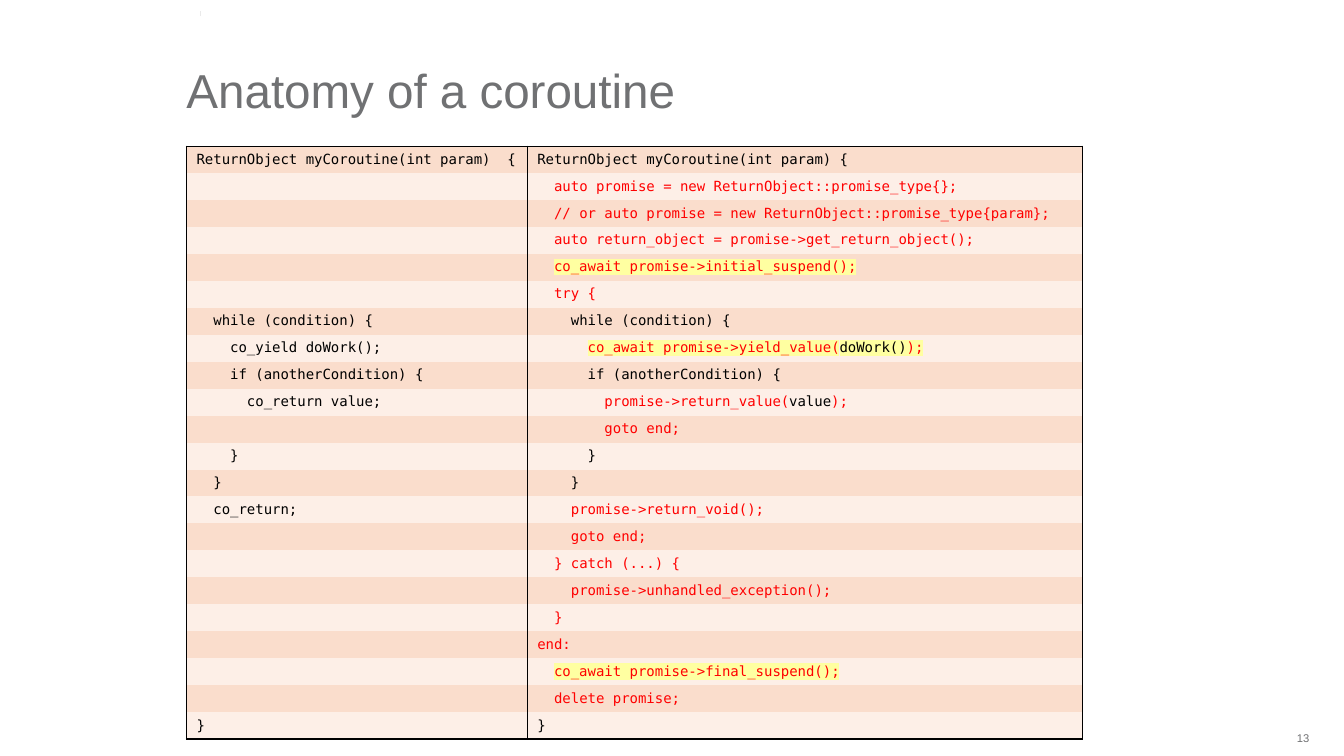
from dataclasses import dataclass

from lxml.etree import SubElement
from pptx import Presentation
from pptx.dml.color import RGBColor as Color
from pptx.enum.shapes import MSO_CONNECTOR as Connector
from pptx.enum.text import MSO_ANCHOR as Anchor, PP_ALIGN as Align
from pptx.oxml.ns import qn
from pptx.util import Inches, Pt

GRID_COLUMNS, GRID_ROWS = 160, 90
SLIDE_WIDTH, SLIDE_HEIGHT = Inches(13.33), Inches(7.5)
PLAIN_TABLE_STYLE = "{2D5ABB26-0587-4C30-8999-92F81FD0307C}"


@dataclass(frozen=True)
class Theme:
    sans: str = "Arial"
    mono: str = "DejaVu Sans Mono"
    title_size: int = 34
    title_leading: int = 38
    code_size: int = 10
    number_size: int = 8
    gray: str = "707173"
    mark: str = "EAEAEA"
    written: str = "000000"
    generated: str = "FF0000"
    highlight: str = "FFFFA1"
    border: str = "000000"
    bands: tuple = ("FADDCC", "FDEFE7")


THEME = Theme()

WRITTEN, GENERATED, SUSPEND, SUSPEND_WRITTEN = range(4)
STYLES = {
    WRITTEN: (THEME.written, None),
    GENERATED: (THEME.generated, None),
    SUSPEND: (THEME.generated, THEME.highlight),
    SUSPEND_WRITTEN: (THEME.written, THEME.highlight),
}

CODE_ROWS = [
    ("ReturnObject myCoroutine(int param)  {", [(WRITTEN, "ReturnObject myCoroutine(int param) {")]),
    ("", [(GENERATED, "  auto promise = new ReturnObject::promise_type{};")]),
    ("", [(GENERATED, "  // or auto promise = new ReturnObject::promise_type{param};")]),
    ("", [(GENERATED, "  auto return_object = promise->get_return_object();")]),
    ("", [(GENERATED, "  "), (SUSPEND, "co_await promise->initial_suspend();")]),
    ("", [(GENERATED, "  try {")]),
    ("  while (condition) {", [(WRITTEN, "    while (condition) {")]),
    ("    co_yield doWork();", [
        (WRITTEN, "      "), (SUSPEND, "co_await promise->yield_value("),
        (SUSPEND_WRITTEN, "doWork()"), (SUSPEND, ");")]),
    ("    if (anotherCondition) {", [(WRITTEN, "      if (anotherCondition) {")]),
    ("      co_return value;", [
        (GENERATED, "        promise->return_value("), (WRITTEN, "value"), (GENERATED, ");")]),
    ("", [(GENERATED, "        goto end;")]),
    ("    }", [(WRITTEN, "      }")]),
    ("  }", [(WRITTEN, "    }")]),
    ("  co_return;", [(GENERATED, "    promise->return_void();")]),
    ("", [(GENERATED, "    goto end;")]),
    ("", [(GENERATED, "  } catch (...) {")]),
    ("", [(GENERATED, "    promise->unhandled_exception();")]),
    ("", [(GENERATED, "  }")]),
    ("", [(GENERATED, "end:")]),
    ("", [(GENERATED, "  "), (SUSPEND, "co_await promise->final_suspend();")]),
    ("", [(GENERATED, "  delete promise;")]),
    ("}", [(WRITTEN, "}")]),
]


def across(columns):
    return round(SLIDE_WIDTH * columns / GRID_COLUMNS)


def down(rows):
    return round(SLIDE_HEIGHT * rows / GRID_ROWS)


def add_label(slide, text, left, top, width, height, size, anchor, align, leading=None):
    box = slide.shapes.add_textbox(across(left), down(top), across(width), down(height))
    frame = box.text_frame
    frame.word_wrap = True
    frame.vertical_anchor = anchor
    frame.margin_left = frame.margin_right = frame.margin_top = frame.margin_bottom = 0
    paragraph = frame.paragraphs[0]
    paragraph.text = text
    paragraph.alignment = align
    if leading:
        paragraph.line_spacing = Pt(leading)
    paragraph.font.name = THEME.sans
    paragraph.font.size = Pt(size)
    paragraph.font.color.rgb = Color.from_string(THEME.gray)


def add_mark(slide, left, top, length):
    line = slide.shapes.add_connector(
        Connector.STRAIGHT, across(left), down(top + length), across(left), down(top))
    line.line.color.rgb = Color.from_string(THEME.mark)
    line.line.width = Pt(1)
    SubElement(line._element.spPr, qn("a:effectLst"))


def add_solid_color(parent, color):
    SubElement(SubElement(parent, qn("a:solidFill")), qn("a:srgbClr"), val=color)


def write_code(paragraph, segments):
    for style, text in segments:
        color, highlight = STYLES[style]
        run = paragraph.add_run()
        run.text = text
        run.font.size = Pt(THEME.code_size)
        run.font.color.rgb = Color.from_string(color)
        if highlight:
            marker = SubElement(run.font._element, qn("a:highlight"))
            SubElement(marker, qn("a:srgbClr"), val=highlight)
        run.font.name = THEME.mono
    if not segments:
        SubElement(paragraph._p, qn("a:endParaRPr"), sz=str(THEME.code_size * 100))


def set_borders(cell, sides):
    properties = cell._tc.get_or_add_tcPr()
    for side in sides:
        line = SubElement(properties, qn(f"a:ln{side}"), w=str(Pt(1)))
        add_solid_color(line, THEME.border)


def add_code_table(slide, left, top, column_widths, row_height):
    count = len(CODE_ROWS)
    table = slide.shapes.add_table(
        count, len(column_widths), across(left), down(top),
        across(sum(column_widths)), down(row_height * count)).table
    table.first_row = table.horz_banding = False
    table._tbl.tblPr.find(qn("a:tableStyleId")).text = PLAIN_TABLE_STYLE
    for column, width in zip(table.columns, column_widths):
        column.width = across(width)
    for index, (source, expansion) in enumerate(CODE_ROWS):
        table.rows[index].height = down(row_height)
        sides = "LR" + ("T" if index == 0 else "") + ("B" if index == count - 1 else "")
        source_segments = [(WRITTEN, source)] if source else []
        for cell, segments in zip(table.rows[index].cells, (source_segments, expansion)):
            set_borders(cell, sides)
            cell.fill.solid()
            cell.fill.fore_color.rgb = Color.from_string(THEME.bands[index % 2])
            write_code(cell.text_frame.paragraphs[0], segments)


def main():
    presentation = Presentation()
    presentation.slide_width = SLIDE_WIDTH
    presentation.slide_height = SLIDE_HEIGHT
    slide = presentation.slides.add_slide(presentation.slide_layouts[6])
    add_mark(slide, 23.88, 1.32, 0.6)
    add_label(slide, "13", 149.64, 86.28, 6.24, 3.12,
              THEME.number_size, Anchor.MIDDLE, Align.RIGHT)
    add_label(slide, "Anatomy of a coroutine", 22.2, 6.6, 133.7, 7.44,
              THEME.title_size, Anchor.BOTTOM, Align.LEFT, THEME.title_leading)
    add_code_table(slide, 22.2, 17.4, (40.56, 66.12), 3.17)
    presentation.save("out.pptx")


if __name__ == "__main__":
    main()
